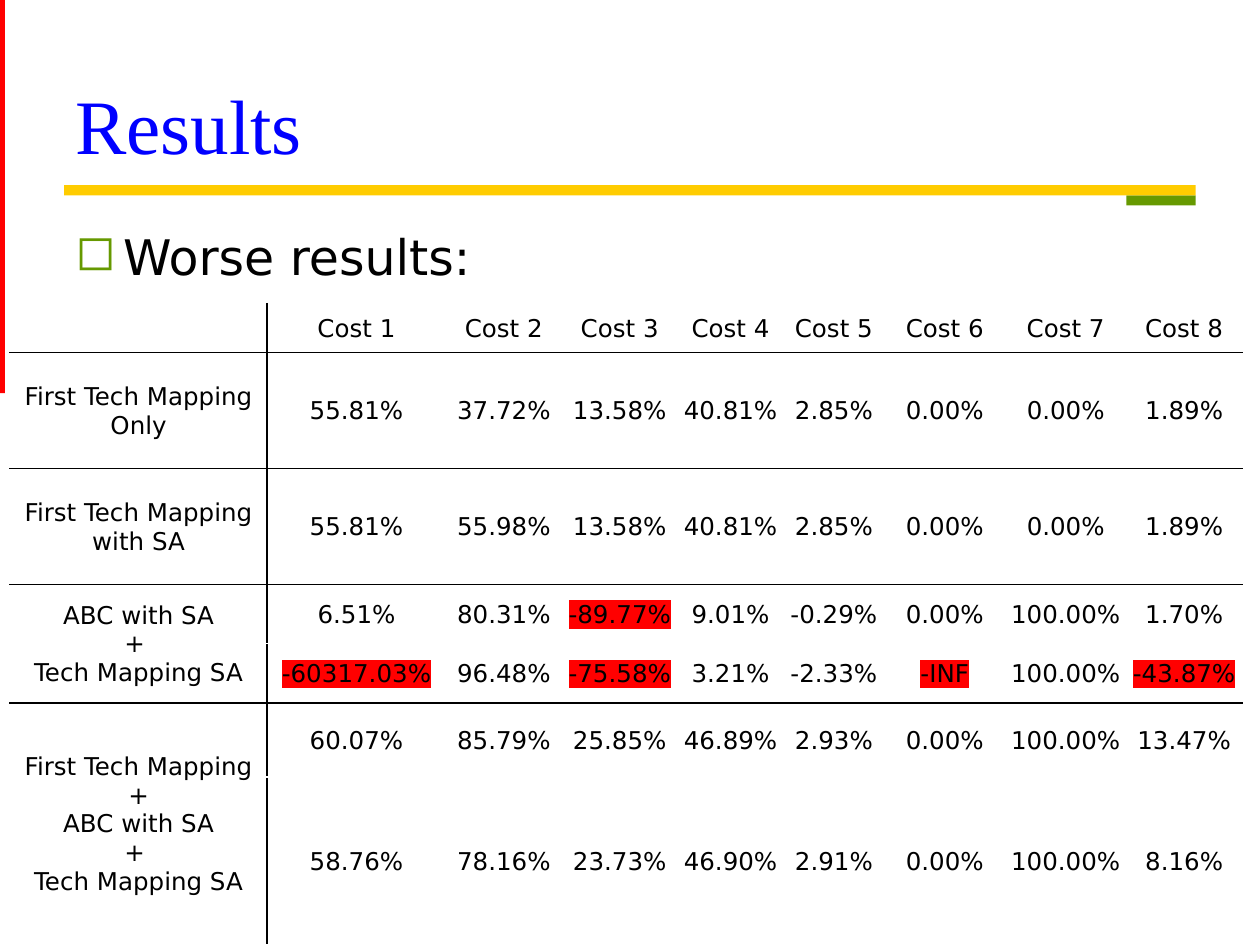
"""Build the Results slide with its table of cost changes."""
from lxml import etree
from pptx import Presentation, util as u
from pptx.dml.color import RGBColor
from pptx.enum import shapes, text
from pptx.oxml.ns import qn

COLORS = {"title": "0000FF", "text": "000000", "paper": "FFFFFF",
          "gold": "FFCC00", "green": "669900", "red": "FF0000"}
SANS, SERIF = "DejaVu Sans", "Times New Roman"
BARS = [((8.94, 1.55, 0.55, 0.08), "green"),
        ((0, 0, 0.04, 3.12), "red"),
        ((0.51, 1.47, 8.98, 0.08), "gold")]
HEADER = [""] + [f"Cost {n}" for n in range(1, 9)]
GROUPS = [
    ("First Tech Mapping\vOnly",
     ["55.81% 37.72% 13.58% 40.81% 2.85% 0.00% 0.00% 1.89%"]),
    ("First Tech Mapping\vwith SA",
     ["55.81% 55.98% 13.58% 40.81% 2.85% 0.00% 0.00% 1.89%"]),
    ("ABC with SA\v+ \vTech Mapping SA",
     ["6.51% 80.31% -89.77% 9.01% -0.29% 0.00% 100.00% 1.70%",
      "-60317.03% 96.48% -75.58% 3.21% -2.33% -INF 100.00% -43.87%"]),
    ("First Tech Mapping\v+\vABC with SA\v+ \vTech Mapping SA",
     ["60.07% 85.79% 25.85% 46.89% 2.93% 0.00% 100.00% 13.47%",
      "58.76% 78.16% 23.73% 46.90% 2.91% 0.00% 100.00% 8.16%"]),
]
FLAGGED = {"-89.77%", "-60317.03%", "-75.58%", "-INF", "-43.87%"}
COLS = [2.04, 1.42, 0.92, 0.92, 0.84, 0.8, 0.96, 0.96, 0.92]
ROWS = [0.39, 0.92, 0.92, 0.47, 0.47, 0.59, 1.33]
RULED = {0, 1, 2, 4}


def rgb(name):
    return RGBColor.from_string(COLORS[name])


def solid(parent, tag, name):
    fill = etree.SubElement(parent, qn(tag))
    etree.SubElement(fill, qn("a:srgbClr"), val=COLORS[name])


def style(p, font, size, color):
    p.font.name, p.font.size = font, u.Pt(size)
    p.font.color.rgb = rgb(color)


def add_text(s, box, words, font, size, color, anchor):
    tf = s.shapes.add_textbox(*map(u.Inches, box)).text_frame
    tf.word_wrap, tf.vertical_anchor = True, anchor
    p = tf.paragraphs[0]
    p.text = words
    style(p, font, size, color)
    return p


def add_bullet(p):
    pPr = p._p.get_or_add_pPr()
    pPr.set("marL", str(u.Inches(0.38)))
    pPr.set("indent", str(-u.Inches(0.38)))
    char = etree.Element(qn("a:buChar"), char="◻")
    color = etree.Element(qn("a:buClr"))
    etree.SubElement(color, qn("a:srgbClr"), val=COLORS["green"])
    pPr.insert(0, char)
    pPr.insert(0, color)


def set_borders(cell, **sides):
    tcPr = cell._tc.get_or_add_tcPr()
    for side in "LRTB":
        ln = etree.SubElement(tcPr, qn(f"a:ln{side}"), w=str(u.Pt(1)))
        solid(ln, "a:solidFill", "text" if sides[side] else "paper")


def fill_cell(table, r, c, words, last):
    cell = table.cell(r, c)
    set_borders(cell, L=c == 1, R=c == 0, T=r - 1 in RULED, B=last in RULED)
    cell.fill.solid()
    cell.fill.fore_color.rgb = rgb("paper")
    cell.vertical_anchor = text.MSO_ANCHOR.MIDDLE
    cell.margin_left = cell.margin_right = cell.margin_top = u.Inches(0.01)
    cell.margin_bottom = 0
    p = cell.text_frame.paragraphs[0]
    p.text, p.alignment = words, text.PP_ALIGN.CENTER
    style(p, SANS, 14, "text")
    if words in FLAGGED:
        solid(p.runs[0]._r.get_or_add_rPr(), "a:highlight", "red")


def add_results(s):
    frame = s.shapes.add_table(len(ROWS), len(COLS), u.Inches(0.08), u.Inches(2.41),
                               u.Inches(sum(COLS)), u.Inches(sum(ROWS)))
    table = frame.table
    for col, width in zip(table.columns, COLS):
        col.width = u.Inches(width)
    for row, height in zip(table.rows, ROWS):
        row.height = u.Inches(height)
    for c, words in enumerate(HEADER):
        fill_cell(table, 0, c, words, 0)
    r = 1
    for label, lines in GROUPS:
        last = r + len(lines) - 1
        fill_cell(table, r, 0, label, last)
        if last > r:
            table.cell(r, 0).merge(table.cell(last, 0))
        for r, line in enumerate(lines, r):
            for c, value in enumerate(line.split(), 1):
                fill_cell(table, r, c, value, r)
        r += 1


def main():
    prs = Presentation()
    prs.slide_width, prs.slide_height = u.Inches(10), u.Inches(7.5)
    s = prs.slides.add_slide(prs.slide_layouts[6])
    for box, color in BARS:
        sp = s.shapes.add_shape(shapes.MSO_SHAPE.RECTANGLE, *map(u.Inches, box))
        sp.shadow.inherit = False
        sp.fill.solid()
        sp.fill.fore_color.rgb = rgb(color)
        sp.line.fill.background()
    p = add_text(s, (0.5, 0.14, 9, 1.25), "Results", SERIF, 44, "title",
                 text.MSO_ANCHOR.BOTTOM)
    p.line_spacing = 0.8
    p = add_text(s, (0.5, 1.75, 9, 0.6), "Worse results:", SANS, 28, "text",
                 text.MSO_ANCHOR.TOP)
    add_bullet(p)
    add_results(s)
    prs.save("out.pptx")


if __name__ == "__main__":
    main()
